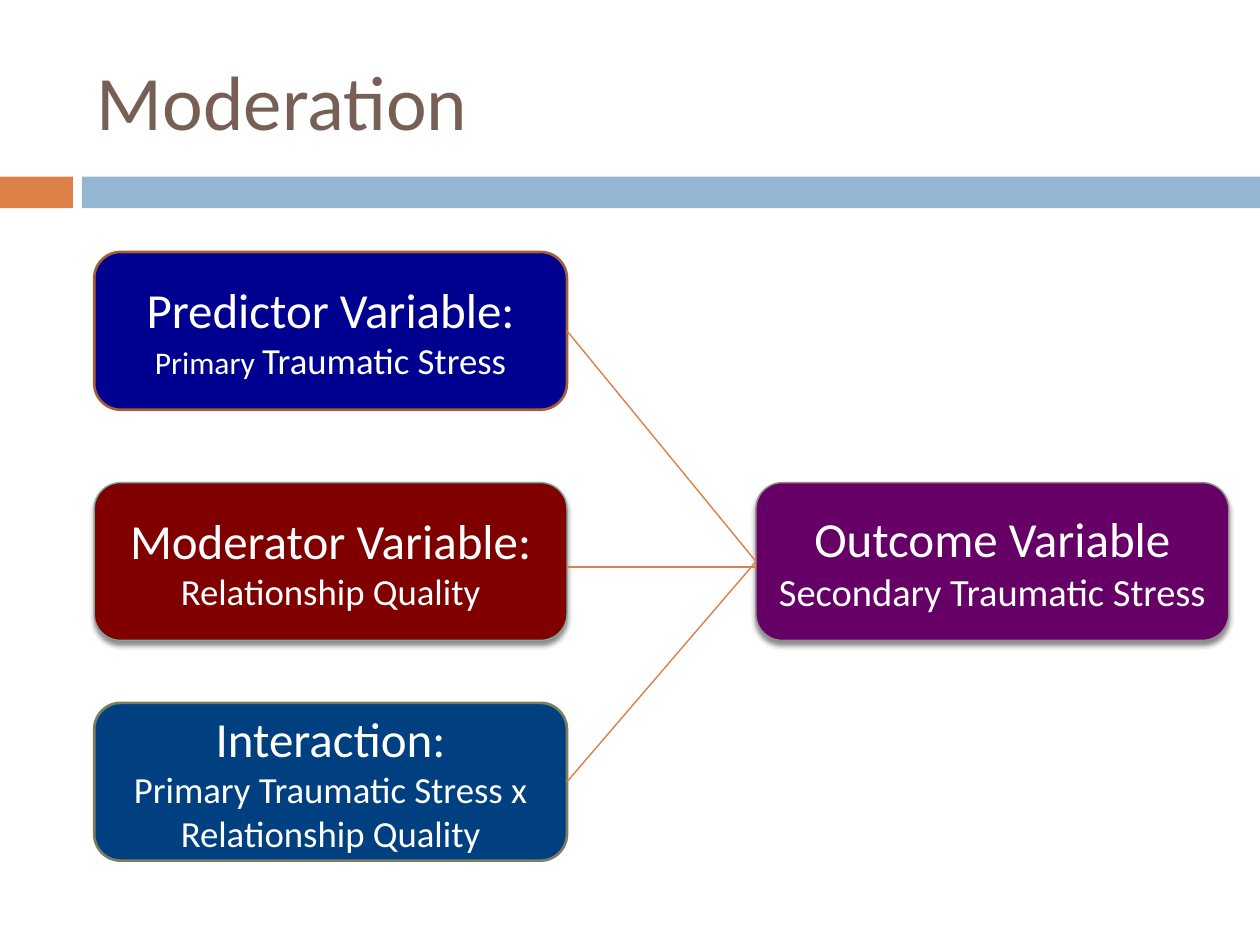
"""Build the Moderation slide: three variables leading to one outcome."""
from lxml import etree
from pptx import Presentation
from pptx.dml.color import RGBColor as RGB
from pptx.enum.shapes import MSO_CONNECTOR as LINK, MSO_SHAPE as SHAPE
from pptx.enum.text import MSO_ANCHOR as ANCHOR, PP_ALIGN as ALIGN
from pptx.oxml.ns import qn
from pptx.util import Cm, Pt

ORANGE = RGB(0xDD, 0x80, 0x47)
SKY = RGB(0x94, 0xB6, 0xD2)
BROWN = RGB(0x77, 0x5F, 0x55)
WHITE = RGB(0xFF, 0xFF, 0xFF)
NAVY = RGB(0x00, 0x00, 0x90)
RUST = RGB(0xA3, 0x5F, 0x35)
BLUE = RGB(0x00, 0x40, 0x80)
OLIVE = RGB(0x7A, 0x7F, 0x5F)
RED = RGB(0x80, 0x00, 0x00)
TEAL = RGB(0x7B, 0xA7, 0x9D)
PURPLE = RGB(0x66, 0x00, 0x66)
GREY = RGB(0x96, 0x8C, 0x8C)
FONT = "Calibri"
WIDE, HIGH = Cm(9.53), Cm(3.18)
LEFT, RIGHT = Cm(1.9), Cm(15.24)
THIN, THICK = Pt(0.79), Pt(1.5)


def add_shade(shape):
    list_ = shape._element.spPr.find(qn("a:effectLst"))
    shade = etree.SubElement(list_, qn("a:outerShdw"), blurRad=str(Pt(3)),
                             dist=str(Pt(2.4)), dir="5400000", rotWithShape="0")
    color = etree.SubElement(shade, qn("a:srgbClr"), val="000000")
    etree.SubElement(color, qn("a:alpha"), val="45000")


deck = Presentation()
deck.slide_width, deck.slide_height = Cm(25.4), Cm(19.05)
slide = deck.slides.add_slide(deck.slide_layouts[5])
shapes = slide.shapes

for left, width, fill in [(0, 1.47, ORANGE), (1.65, 23.75, SKY)]:
    bar = shapes.add_shape(SHAPE.RECTANGLE, Cm(left), Cm(3.56), Cm(width), Cm(0.64))
    bar.shadow.inherit = False
    bar.fill.solid()
    bar.fill.fore_color.rgb = fill
    bar.line.fill.background()

title = shapes.title
title.left, title.top, title.width, title.height = Cm(1.7), Cm(0.64), Cm(22.66), Cm(2.74)
title.text_frame.vertical_anchor = ANCHOR.MIDDLE
head = title.text_frame.paragraphs[0]
head.text = "Moderation"
head.alignment = ALIGN.LEFT
head.font.name, head.font.size, head.font.color.rgb = FONT, Pt(44), BROWN

cards = [
    ("cause", LEFT, 5.08, NAVY, RUST, THICK,
     [[("Predictor Variable:", 28), (" Primary ", 18), ("Traumatic Stress", 21)]]),
    ("cross", LEFT, 14.17, BLUE, OLIVE, THICK,
     [[("Interaction:", 28)], [("Primary Traumatic Stress x Relationship Quality", 21)]]),
    ("middle", LEFT, 9.73, RED, TEAL, THIN,
     [[("Moderator Variable:", 28)], [("Relationship Quality", 21)]]),
    ("outcome", RIGHT, 9.73, PURPLE, GREY, THIN,
     [[("Outcome Variable", 28)], [("Secondary Traumatic Stress", 22)]]),
]
boxes = {}
for name, left, top, fill, edge, weight, lines in cards:
    box = shapes.add_shape(SHAPE.FLOWCHART_ALTERNATE_PROCESS, left, Cm(top), WIDE, HIGH)
    boxes[name] = box
    box.fill.solid()
    box.fill.fore_color.rgb = fill
    box.line.color.rgb, box.line.width = edge, weight
    box.shadow.inherit = False
    if weight == THIN:
        add_shade(box)
    frame = box.text_frame
    frame.word_wrap = True
    frame.vertical_anchor = ANCHOR.MIDDLE
    for i, line in enumerate(lines):
        para = frame.add_paragraph() if i else frame.paragraphs[0]
        para.alignment = ALIGN.CENTER
        para.font.name, para.font.color.rgb = FONT, WHITE
        if len(line) == 1:
            para.font.size = Pt(line[0][1])
        for text, size in line:
            run = para.add_run()
            run.text = text
            if len(line) > 1:
                run.font.size = Pt(size)

level = Cm(11.43)
for name in ["cross", "middle", "cause"]:
    link = shapes.add_connector(LINK.STRAIGHT, LEFT + WIDE, level, RIGHT, level)
    if name != "middle":
        link.begin_connect(boxes[name], 3)
        link.end_connect(boxes["outcome"], 1)
    link.line.color.rgb, link.line.width = ORANGE, THIN
    etree.SubElement(link._element.spPr, qn("a:effectLst"))

deck.save("out.pptx")
